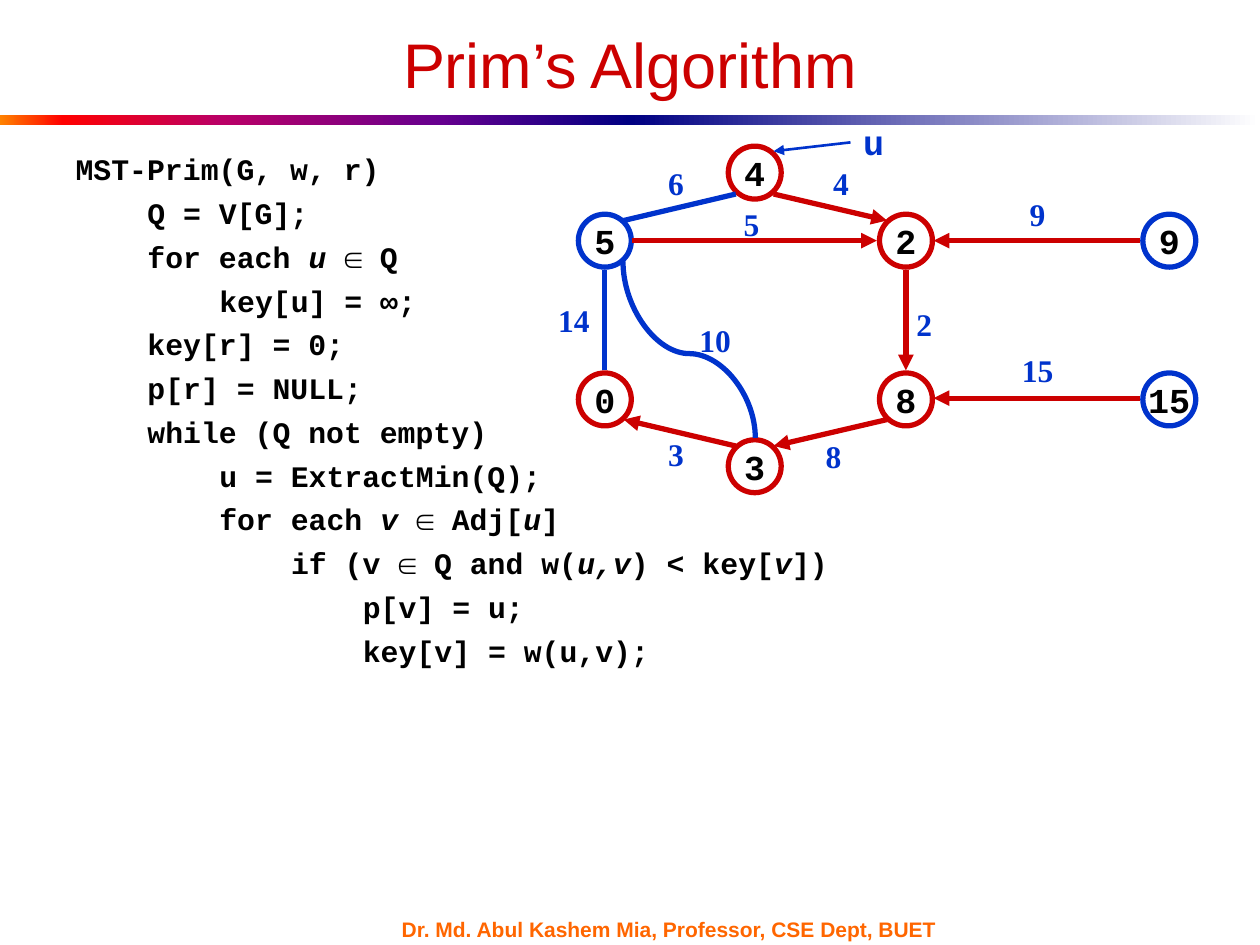
from lxml.etree import SubElement
from pptx import Presentation
from pptx.dml.color import RGBColor as RGB
from pptx.enum.shapes import MSO_CONNECTOR as CXN, MSO_SHAPE as SHAPE
from pptx.enum.text import MSO_ANCHOR as ANCHOR, MSO_AUTO_SIZE as AUTO, PP_ALIGN as ALIGN
from pptx.oxml.ns import qn
from pptx.util import Pt

PX = 9144
COLORS = {"red": "CC0000", "blue": "0033CC", "black": "000000", "orange": "FF6600"}
MONO = "Courier New"

prs = Presentation()
prs.slide_width, prs.slide_height = 1000 * PX, 750 * PX
s = prs.slides.add_slide(prs.slide_layouts[1])


def write(tf, text, size=18, font="Arial", color="black", bold=True,
          align=ALIGN.CENTER, indent=0, before=0, wrap=False, anchor=ANCHOR.TOP, new=False):
    tf.word_wrap, tf.vertical_anchor = wrap, anchor
    p = tf.add_paragraph() if new else tf.paragraphs[0]
    p.alignment, p.space_before = align, Pt(before)
    pPr = p._p.get_or_add_pPr()
    pPr.set("marL", str(indent * PX))
    pPr.set("indent", "0")
    SubElement(pPr, qn("a:buNone"))
    for i, part in enumerate(text.split("*")):
        if part:
            r = p.add_run()
            r.text = part
            f = r.font
            f.name, f.size, f.bold, f.italic = font, Pt(size), bold, i % 2 == 1
            f.color.rgb = RGB.from_string(COLORS[color])


def connect(x1, y1, x2, y2, color="red", width=3, arrow=True, kind=CXN.STRAIGHT):
    c = s.shapes.add_connector(kind, x1 * PX, y1 * PX, x2 * PX, y2 * PX)
    c.line.color.rgb = RGB.from_string(COLORS[color])
    c.line.width = Pt(width)
    spPr = c._element.spPr
    if arrow:
        SubElement(spPr.find(qn("a:ln")), qn("a:tailEnd"), type="triangle")
    SubElement(spPr, qn("a:effectLst"))
    return spPr


bars = [
    (0, [(0, "FF8200"), (10, "FF0000"), (35, "BA0066"), (70, "66008F"), (100, "000082")]),
    (500, [(0, "000082"), (100, "FFFFFF")]),
]
for x, stops in bars:
    sp = s.shapes.add_shape(SHAPE.RECTANGLE, x * PX, 91 * PX, 500 * PX, 8 * PX)
    sp.shadow.inherit = False
    sp.line.fill.background()
    sp.fill.gradient()
    sp.fill.gradient_angle = 0
    gs_list = sp._element.spPr.find(qn("a:gradFill")).find(qn("a:gsLst"))
    for gs in list(gs_list):
        gs_list.remove(gs)
    for pos, color in stops:
        gs = SubElement(gs_list, qn("a:gs"), pos=str(pos * 1000))
        SubElement(gs, qn("a:srgbClr"), val=color)

footer = s.shapes.add_textbox(309 * PX, 728 * PX, 467 * PX, 18 * PX)
write(footer.text_frame, "Dr. Md. Abul Kashem Mia, Professor, CSE Dept, BUET", size=12,
      color="orange", align=ALIGN.LEFT, wrap=True, anchor=ANCHOR.MIDDLE)

title, body = s.placeholders
title.left, title.top, title.width, title.height = 50 * PX, 25 * PX, 900 * PX, 51 * PX
body.left, body.top, body.width, body.height = 50 * PX, 115 * PX, 900 * PX, 475 * PX
for ph in (title, body):
    ph.text_frame.auto_size = AUTO.NONE
write(title.text_frame, "Prim’s Algorithm", size=36, color="red", bold=False,
      wrap=True, anchor=ANCHOR.MIDDLE)

code = [
    (0, "MST-Prim(G, w, r)"),
    (1, "Q = V[G];"),
    (1, "for each *u *∈ Q"),
    (2, "key[u] = ∞;"),
    (1, "key[r] = 0;"),
    (1, "p[r] = NULL;"),
    (1, "while (Q not empty)"),
    (2, "u = ExtractMin(Q);"),
    (2, "for each *v *∈ Adj[*u*]"),
    (3, "if (v ∈ Q and w(*u,v*) < key[*v*])"),
    (4, "p[v] = u;"),
    (4, "key[v] = w(u,v);"),
]
for i, (level, text) in enumerate(code):
    write(body.text_frame, text, size=17, font=MONO, align=ALIGN.LEFT,
          indent=level * 57, before=4.6, wrap=True, new=i > 0)

D = 42
nodes = [
    ("5", 459, 170, "blue"), ("2", 698, 170, "red"), ("9", 907, 170, "blue"),
    ("0", 459, 296, "red"), ("8", 698, 296, "red"), ("15", 907, 296, "blue"),
    ("3", 578, 349, "red"), ("4", 578, 116, "red"),
]
for text, x, y, color in nodes:
    sp = s.shapes.add_shape(SHAPE.OVAL, x * PX, y * PX, D * PX, D * PX)
    sp.shadow.inherit = False
    sp.fill.background()
    sp.line.color.rgb = RGB.from_string(COLORS[color])
    sp.line.width = Pt(3)
    write(sp.text_frame, text, size=20, font=MONO, anchor=ANCHOR.MIDDLE)

arrows = [
    (614, 154, 704, 175), (502, 191, 696, 191), (584, 354, 495, 333), (704, 333, 614, 354),
    (719, 214, 719, 294), (905, 191, 741, 191), (905, 316, 741, 316),
]
for ends in arrows:
    connect(*ends)
for ends in [(584, 154, 495, 175), (480, 294, 480, 214)]:
    connect(*ends, color="blue", arrow=False)
connect(675, 113, 614, 120, color="blue", width=1.5)

curve = connect(617, 225, 477, 330, color="blue", arrow=False, kind=CXN.CURVE)
curve.find(qn("a:xfrm")).set("rot", str(90 * 60000))
geom = curve.find(qn("a:prstGeom"))
av = geom.find(qn("a:avLst"))
if av is None:
    av = SubElement(geom, qn("a:avLst"))
SubElement(av, qn("a:gd"), name="adj1", fmla="val 47800")

weights = [
    ("14", 433, 234), ("10", 545, 250), ("3", 520, 340), ("6", 520, 125), ("4", 651, 125),
    ("5", 580, 158), ("2", 717, 237), ("9", 807, 150), ("15", 801, 274), ("8", 645, 342),
]
for text, x, y in weights:
    box = s.shapes.add_textbox(x * PX, y * PX, (21 + 12 * len(text)) * PX, 40 * PX)
    write(box.text_frame, text, font="Times New Roman", color="blue")

pointer = s.shapes.add_textbox(675 * PX, 91 * PX, 37 * PX, 43 * PX)
write(pointer.text_frame, "u", size=20, font=MONO, color="blue", wrap=True)

prs.save("out.pptx")
